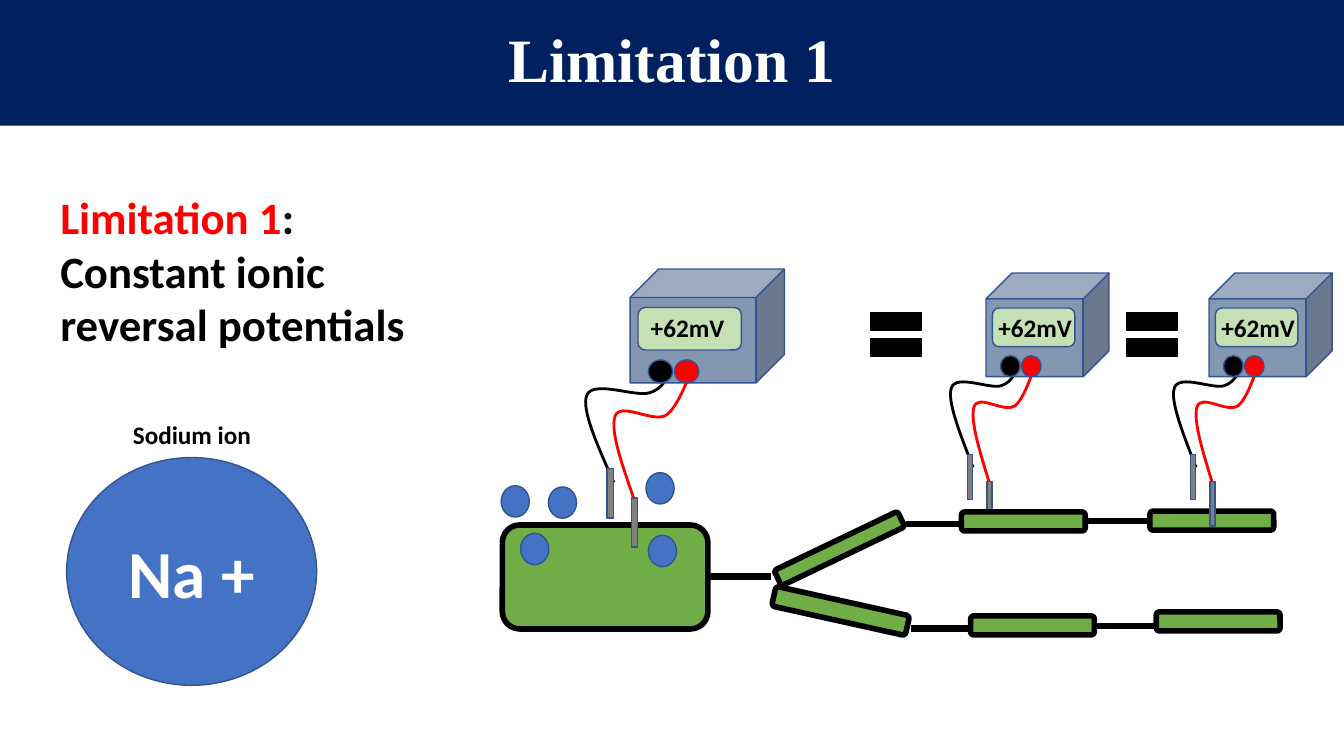
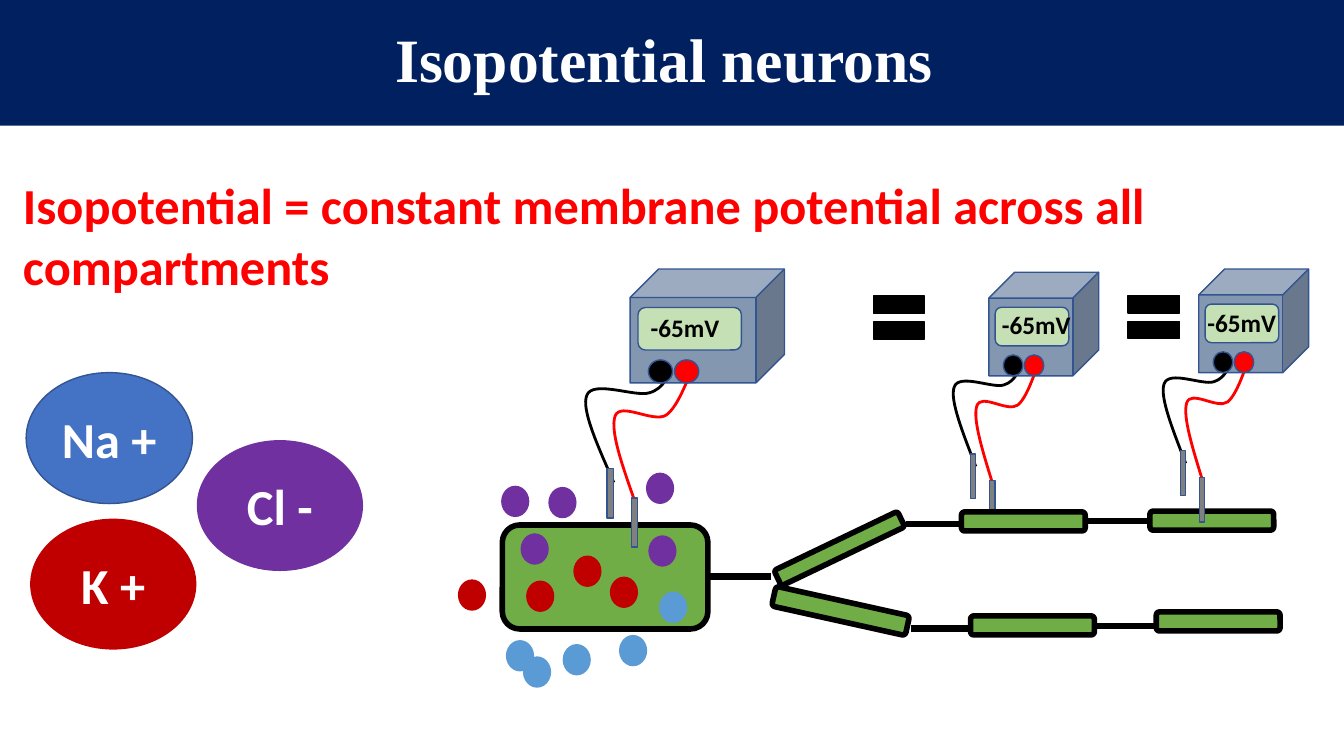
"""Build two slides on isopotential neurons, with voltmeters along a branching cell."""
from lxml.etree import SubElement
from pptx import Presentation
from pptx.dml.color import RGBColor
from pptx.enum.shapes import MSO_CONNECTOR, MSO_SHAPE
from pptx.enum.text import MSO_ANCHOR, MSO_AUTO_SIZE, PP_ALIGN
from pptx.oxml.ns import qn
from pptx.util import Cm, Pt

NAVY, WHITE, BLACK, RED = "002060", "FFFFFF", "000000", "FF0000"
BLUE, SKY, PURPLE, CRIMSON = "4472C4", "5B9BD5", "7030A0", "C00000"
GREEN, SCREEN, STEEL, GRAY, OUTLINE = "70AD47", "C5E0B4", "8497B0", "808080", "325491"

SLIDE_W, SLIDE_H = 33.87, 19.05
BAND_H = 3.17
ION_W, ION_H = 0.71, 0.79
LARGE, SMALL = (1, 1), (0.8, 0.91)

BLACK_WIRE = [(-0.41, 5.38), (-0.81, 4.47), (-1.24, 3.53), (-1.09, 3.18), (-0.94, 2.79),
              (0.13, 3.23), (0.48, 3.12), (0.86, 3.02), (0.97, 2.64), (1.07, 2.51)]
RED_WIRE = [(0.15, 5.94), (-0.18, 5), (-0.51, 4.09), (-0.38, 3.71), (-0.25, 3.33),
            (0.58, 3.89), (0.91, 3.68), (1.24, 3.45), (1.52, 2.57), (1.6, 2.44)]
SOMA_IONS = [(13.82, 12.27), (13.12, 13.44), (16.28, 11.91), (12.63, 12.24), (16.34, 13.49)]
SODIUM_IONS = [(12.75, 16.13), (14.18, 16.23), (15.6, 16), (16.61, 14.91), (13.18, 16.54)]
POTASSIUM_IONS = [(14.45, 14), (13.26, 14.63), (15.37, 14.53), (11.54, 14.6)]


def rgb(color):
    """Turn a hex string into a colour."""
    return RGBColor.from_string(color)


def add_box(shapes, kind, x, y, w, h, fill, line=None, width=1, rotation=0):
    """Add a filled preset shape."""
    sp = shapes.add_shape(kind, Cm(x), Cm(y), Cm(w), Cm(h))
    sp.shadow.inherit = False
    sp.fill.solid()
    sp.fill.fore_color.rgb = rgb(fill)
    if line:
        sp.line.color.rgb = rgb(line)
        sp.line.width = Pt(width)
    else:
        sp.line.fill.background()
    sp.rotation = rotation
    return sp


def write(sp, runs, size, color, name="Calibri", align=PP_ALIGN.LEFT):
    """Write one bold paragraph from (text, colour) runs, None keeping the paragraph colour."""
    p = sp.text_frame.paragraphs[0]
    p.alignment = align
    p.font.name, p.font.size, p.font.bold = name, Pt(size), True
    p.font.color.rgb = rgb(color)
    for text, run_color in runs:
        r = p.add_run()
        r.text = text
        if run_color:
            r.font.color.rgb = rgb(run_color)
    return p


def add_text(shapes, x, y, w, h, runs, size, color=BLACK, wrap=True):
    """Add a text box that fits its text."""
    sp = shapes.add_textbox(Cm(x), Cm(y), Cm(w), Cm(h))
    sp.text_frame.word_wrap = wrap
    sp.text_frame.auto_size = MSO_AUTO_SIZE.SHAPE_TO_FIT_TEXT
    write(sp, runs, size, color)


def add_link(shapes, x1, y1, x2, y2):
    """Add a thick black line between compartments."""
    line = shapes.add_connector(MSO_CONNECTOR.STRAIGHT, Cm(x1), Cm(y1), Cm(x2), Cm(y2))
    line.line.color.rgb = rgb(BLACK)
    line.line.width = Pt(4.5)
    SubElement(line._element.spPr, qn("a:effectLst"))


def add_wire(shapes, points, color):
    """Add an open wire of cubic curves, every third point lying on it."""
    dots = [(Cm(x), Cm(y)) for x, y in points]
    builder = shapes.build_freeform(*dots[0])
    builder.add_line_segments(dots[3::3], close=False)
    sp = builder.convert_to_shape()
    outline = next(sp._element.iter(qn("a:path")))
    for segment in outline.findall(qn("a:lnTo")):
        outline.remove(segment)
    for i in range(1, len(dots), 3):
        curve = SubElement(outline, qn("a:cubicBezTo"))
        for x, y in dots[i:i + 3]:
            SubElement(curve, qn("a:pt"), x=str(x - sp.left), y=str(y - sp.top))
    sp.shadow.inherit = False
    sp.fill.background()
    sp.line.color.rgb = rgb(color)
    sp.line.width = Pt(2)


def add_meter(s, reading, x, y, body_w, scale, label):
    """Add a voltmeter at x, y; label gives the reading's offset and width."""
    sx, sy = scale
    dx, dy, label_w = label
    shapes = s.shapes.add_group_shape().shapes

    def part(kind, left, top, w, h, fill):
        add_box(shapes, kind, x + left * sx, y + top * sy, w, h * sy, fill, OUTLINE)

    for points, color in ((BLACK_WIRE, BLACK), (RED_WIRE, RED)):
        add_wire(shapes, [(x + px * sx, y + py * sy) for px, py in points], color)
    for left, top in ((-0.58, 5.03), (0.03, 5.77)):
        part(MSO_SHAPE.RECTANGLE, left, top, 0.16 * sx, 1.24, GRAY)
    part(MSO_SHAPE.CUBE, 0, 0, body_w, 2.87, STEEL)
    part(MSO_SHAPE.ROUNDED_RECTANGLE, 0.2, 0.97, 0.67 * body_w, 1.07, SCREEN)
    for left, color in ((1.12, RED), (0.46, BLACK)):
        part(MSO_SHAPE.OVAL, left, 2.29, 0.61 * sx, 0.58, color)
    add_text(shapes, x + dx, y + dy, label_w, 1.02, [(reading, None)], 18)


def add_soma(s):
    """Add the cell body and its axon."""
    shapes = s.shapes.add_group_shape().shapes
    add_box(shapes, MSO_SHAPE.ROUNDED_RECTANGLE, 12.66, 13.23, 5.18, 2.62, GREEN, BLACK, 4)
    add_link(shapes, 17.83, 14.53, 19.43, 14.53)


def add_dendrites(s):
    """Add the two branches and their segments."""
    for link in ((22.83, 13.21, 24.46, 13.21), (22.96, 15.84, 24.54, 15.84),
                 (27.36, 13.13, 28.98, 13.13), (27.64, 15.77, 29.29, 15.77)):
        add_link(s.shapes, *link)
    segments = [(19.43, 13.61, 3.45, 0.43, -25.6), (19.46, 15.14, 3.45, 0.51, 12.5)]
    segments += [(x, y, 3.12, 0.48, 0) for x, y in
                 ((24.46, 15.52), (24.23, 12.9), (28.98, 12.88), (29.14, 15.42))]
    for x, y, w, h, angle in segments:
        add_box(s.shapes, MSO_SHAPE.ROUNDED_RECTANGLE, x, y, w, h, GREEN, BLACK, 4, angle)


def add_ions(s, places, color, line=None):
    """Add small ions of one kind."""
    for x, y in places:
        add_box(s.shapes, MSO_SHAPE.OVAL, x, y, ION_W, ION_H, color, line)


def add_ion_key(s, x, y, w, h, label, size, color, line=None):
    """Add a large labelled ion."""
    sp = add_box(s.shapes, MSO_SHAPE.OVAL, x, y, w, h, color, line)
    sp.text_frame.vertical_anchor = MSO_ANCHOR.MIDDLE
    write(sp, [(label, None)], size, WHITE, align=PP_ALIGN.CENTER)


def add_equals(s, places):
    """Add the equal signs between meters."""
    for x, y in places:
        add_box(s.shapes, MSO_SHAPE.MATH_EQUAL, x, y, 1.75, 1.85, BLACK, BLACK)


def add_slide(prs, title):
    """Add a blank slide with the title band."""
    s = prs.slides.add_slide(prs.slide_layouts[6])
    sp = add_box(s.shapes, MSO_SHAPE.RECTANGLE, 0, 0, SLIDE_W, BAND_H, NAVY)
    sp.text_frame.word_wrap = True
    sp.text_frame.vertical_anchor = MSO_ANCHOR.MIDDLE
    p = write(sp, [(title, None)], 44, WHITE, "Times New Roman", PP_ALIGN.CENTER)
    p.line_spacing = 0.9
    return s


def add_neuron(s, reading, body_w, middle, right, labels, ion_color, ion_line=None):
    """Add the neuron, its ions and the three meters."""
    add_soma(s)
    add_meter(s, reading, *middle, body_w, SMALL, labels[0])
    add_ions(s, SOMA_IONS, ion_color, ion_line)
    add_dendrites(s)
    add_meter(s, reading, *right, body_w, SMALL, labels[1])
    add_meter(s, reading, 15.88, 6.78, 3.89, LARGE, (0.27, 0.97, 4.42))


def limitation_slide(prs):
    """Build the slide on constant reversal potentials."""
    s = add_slide(prs, "Limitation 1")
    add_neuron(s, "+62mV", 3.1, (24.85, 6.88), (30.47, 6.88), [(0.06, 0.87, 3.53)] * 2,
               BLUE, OUTLINE)
    add_equals(s, [(28.16, 7.5), (21.7, 7.5)])
    add_ion_key(s, 1.68, 11.53, 6.3, 5.74, "Na +", 48, BLUE, OUTLINE)
    add_text(s.shapes, 1.27, 4.65, 9.83, 4.37,
             [("Limitation 1", RED), (": Constant ionic reversal potentials", None)], 32)
    add_text(s.shapes, 3.1, 10.44, 3.51, 1.02, [("Sodium ion", None)], 18, wrap=False)


def isopotential_slide(prs):
    """Build the slide on constant membrane potential."""
    s = add_slide(prs, "Isopotential neurons ")
    add_text(s.shapes, 0.33, 4.27, 30.07, 3.33,
             [("Isopotential = constant membrane potential across all compartments", None)], 36, RED)
    add_neuron(s, "-65mV", 2.77, (24.92, 6.86), (30.21, 6.78),
               [(0.08, 0.82, 2.41), (-0.03, 0.85, 2.41)], PURPLE)
    for x, y, label, color, line in ((0.66, 9.39, "Na +", BLUE, OUTLINE),
                                     (0.76, 13.07, "K +", CRIMSON, None),
                                     (4.96, 11.09, "Cl -", PURPLE, None)):
        add_ion_key(s, x, y, 4.19, 3.3, label, 36, color, line)
    add_ions(s, SODIUM_IONS, SKY)
    add_ions(s, POTASSIUM_IONS, CRIMSON)
    add_equals(s, [(28.2, 7.07), (21.78, 7.08)])


def main():
    """Build and save the presentation."""
    prs = Presentation()
    prs.slide_width, prs.slide_height = Cm(SLIDE_W), Cm(SLIDE_H)
    limitation_slide(prs)
    isopotential_slide(prs)
    prs.save("out.pptx")


if __name__ == "__main__":
    main()
